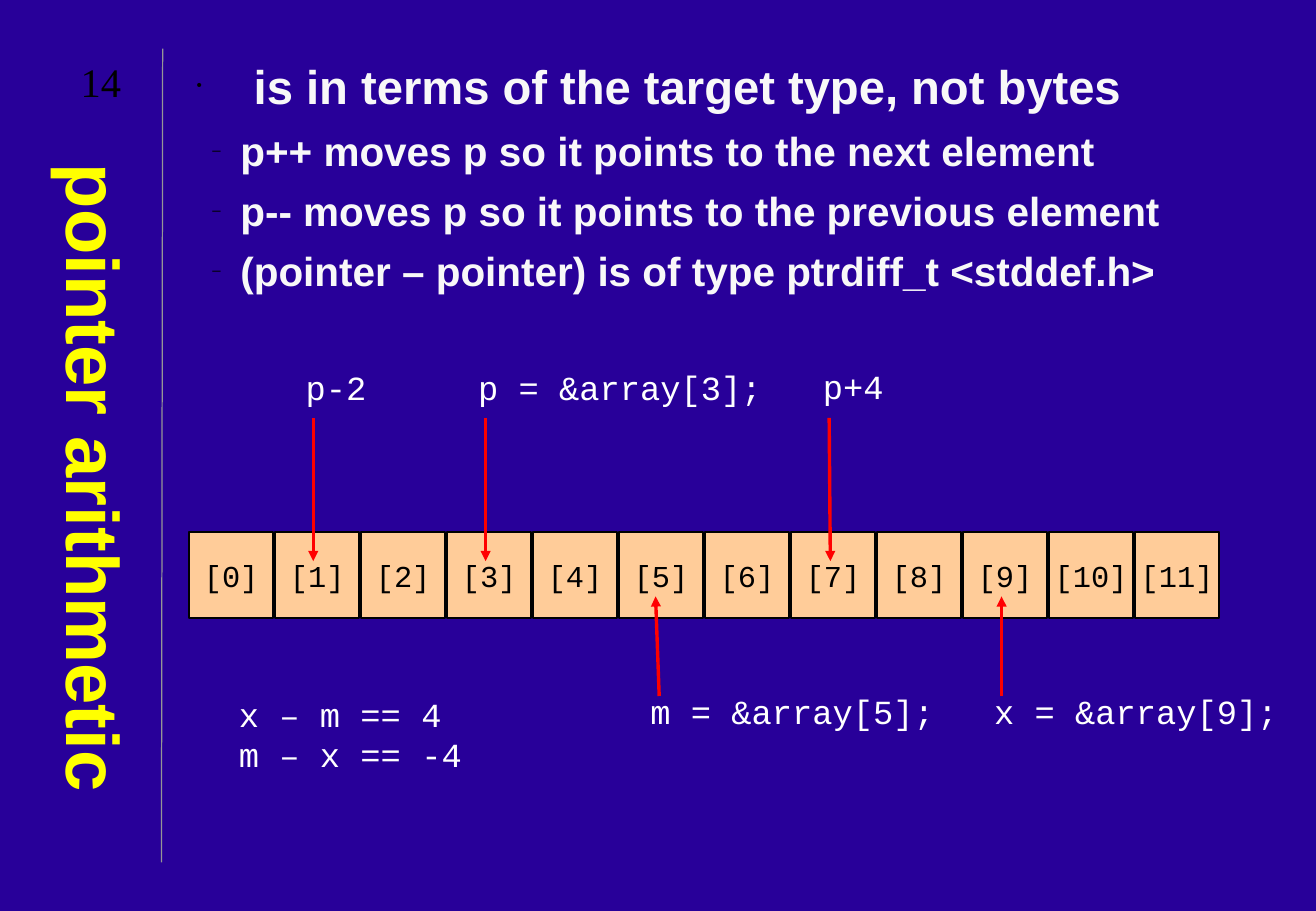
from lxml import etree
from pptx import Presentation
from pptx import util as u
from pptx.dml import color
from pptx.enum import shapes, text
from pptx.oxml import ns

MONO = "Courier New"
BULLETS = [
    ("is in terms of the target type, not bytes", 0),
    ("p++ moves p so it points to the next element", 1),
    ("p-- moves p so it points to the previous element", 1),
    ("(pointer – pointer) is of type ptrdiff_t <stddef.h>", 1),
]
LEVELS = [
    dict(size=28, before=0, margin=0.57, indent=-0.47, mark="•", percent=32),
    dict(size=24, before=7, margin=0.46, indent=-0.23, mark="–", percent=37),
]
LABELS = [
    ("p = &array[3];", 3.84, 2.97, 2.76),
    ("p-2", 2.42, 2.97, 1.02),
    ("p+4", 6.68, 2.96, 1.1),
    ("m = &array[5];", 5.26, 5.64, 2.76),
    ("x = &array[9];", 8.09, 5.64, 2.74),
    ("x – m == 4\nm – x == -4", 1.87, 5.66, 2.28),
]
ARROWS = [
    (4, 3.44, 4, 4.62),
    (2.58, 3.44, 2.58, 4.62),
    (6.83, 3.44, 6.84, 4.62),
    (5.43, 5.73, 5.4, 4.91),
    (8.25, 5.73, 8.25, 4.91),
]


def paint(target, value):
    """Give a colour format an RRGGBB colour."""
    target.rgb = color.RGBColor.from_string(value)


def add_element(parent, tag, **attributes):
    """Append a drawing element to its parent."""
    return etree.SubElement(parent, ns.qn(tag), attributes)


def place(shape, box):
    """Move a shape to a box of left, top, width and height in inches."""
    for name, value in zip(("left", "top", "width", "height"), box):
        setattr(shape, name, u.Inches(value))


def set_frame(frame, anchor=text.MSO_ANCHOR.TOP, wrap=True, side=0.1, end=0.05):
    """Set the anchor, wrapping and insets of a text frame."""
    settings = dict(
        auto_size=text.MSO_AUTO_SIZE.NONE, word_wrap=wrap, vertical_anchor=anchor,
        margin_left=u.Inches(side), margin_right=u.Inches(side),
        margin_top=u.Inches(end), margin_bottom=u.Inches(end))
    for name, value in settings.items():
        setattr(frame, name, value)


def write(para, words, size, face, ink, bold=False, align=text.PP_ALIGN.LEFT):
    """Put one formatted run into a paragraph."""
    para.alignment = align
    span = para.add_run()
    span.text = words
    for name, value in dict(size=u.Pt(size), name=face, bold=bold).items():
        setattr(span.font, name, value)
    paint(span.font.color, ink)


def add_line(page, ends, ink, width, arrow=False):
    """Draw a straight line between two points."""
    line = page.shapes.add_connector(
        shapes.MSO_CONNECTOR.STRAIGHT, *[u.Inches(value) for value in ends])
    paint(line.line.color, ink)
    line.line.width = u.Pt(width)
    if arrow:
        add_element(line.line._get_or_add_ln(), "a:tailEnd", type="triangle")
    add_element(line._element.spPr, "a:effectLst")


def add_label(page, words, box, size=20, face=MONO, ink="FFFFFF",
              align=text.PP_ALIGN.LEFT, anchor=text.MSO_ANCHOR.TOP):
    """Add a text box with one paragraph per line of words."""
    label = page.shapes.add_textbox(*[u.Inches(value) for value in box])
    frame = label.text_frame
    set_frame(frame, anchor)
    for index, line in enumerate(words.split("\n")):
        para = frame.add_paragraph() if index else frame.paragraphs[0]
        write(para, line, size, face, ink, align=align)


def fill_title(page, box):
    """Set the title sideways in its box."""
    title = page.shapes.title
    place(title, box)
    set_frame(title.text_frame, text.MSO_ANCHOR.MIDDLE, side=0.05, end=0.1)
    title.text_frame._txBody.bodyPr.set("vert", "eaVert")
    write(title.text_frame.paragraphs[0], "pointer arithmetic", 44, "Arial",
          "FFFF00", True, text.PP_ALIGN.CENTER)


def fill_body(page, box):
    """Write the bulleted list into the body placeholder."""
    body = page.placeholders[1]
    place(body, box)
    frame = body.text_frame
    set_frame(frame)
    for index, (words, level) in enumerate(BULLETS):
        style = LEVELS[level]
        para = frame.add_paragraph() if index else frame.paragraphs[0]
        para.level = level
        para.space_before = u.Pt(style["before"])
        properties = para._p.get_or_add_pPr()
        properties.set("marL", str(u.Inches(style["margin"])))
        properties.set("indent", str(u.Inches(style["indent"])))
        add_element(add_element(properties, "a:buClr"), "a:srgbClr", val="000000")
        add_element(properties, "a:buSzPct", val=str(style["percent"] * 1000))
        add_element(properties, "a:buFont", typeface="Arial")
        add_element(properties, "a:buChar", char=style["mark"])
        write(para, words, style["size"], "Arial", "F8F8F8", True)


def add_array(page, box, count=12, gap=0.02):
    """Draw the row of numbered array cells across the box."""
    left, top, width, height = box
    step = (width + gap) / count
    for index in range(count):
        cell = page.shapes.add_shape(
            shapes.MSO_SHAPE.RECTANGLE, u.Inches(left + index * step),
            u.Inches(top), u.Inches(step - gap), u.Inches(height))
        cell.shadow.inherit = False
        cell.fill.solid()
        paint(cell.fill.fore_color, "FFCC99")
        paint(cell.line.color, "000000")
        cell.line.width = u.Pt(1.25)
        set_frame(cell.text_frame, text.MSO_ANCHOR.MIDDLE, wrap=False)
        write(cell.text_frame.paragraphs[0], f"[{index}]", 18, MONO, "000000",
              align=text.PP_ALIGN.CENTER)


def add_pointers(page):
    """Draw the pointer arrows and their expressions around the array."""
    for ends in ARROWS:
        add_line(page, ends, "FF0000", 2, arrow=True)
    for words, left, top, width in LABELS:
        height = 0.44 + 0.33 * words.count("\n")
        add_label(page, words, (left, top, width, height))


def main():
    """Build the pointer arithmetic slide."""
    deck = Presentation()
    deck.slide_width, deck.slide_height = u.Inches(10.84), u.Inches(7.5)
    page = deck.slides.add_slide(deck.slide_layouts[1])
    page.background.fill.solid()
    paint(page.background.fill.fore_color, "280099")
    add_line(page, (1.33, 7.1, 1.34, 0.4), "969696", 0.75)
    fill_title(page, (0.33, 1.25, 0.92, 5.83))
    fill_body(page, (1.42, 0.42, 8.92, 6.67))
    add_array(page, (1.56, 4.38, 8.48, 0.71))
    add_pointers(page)
    add_label(page, "14", (0.42, 0.42, 0.82, 0.5), 24, "Times New Roman",
              "000000", text.PP_ALIGN.CENTER, text.MSO_ANCHOR.MIDDLE)
    deck.save("out.pptx")


if __name__ == "__main__":
    main()
